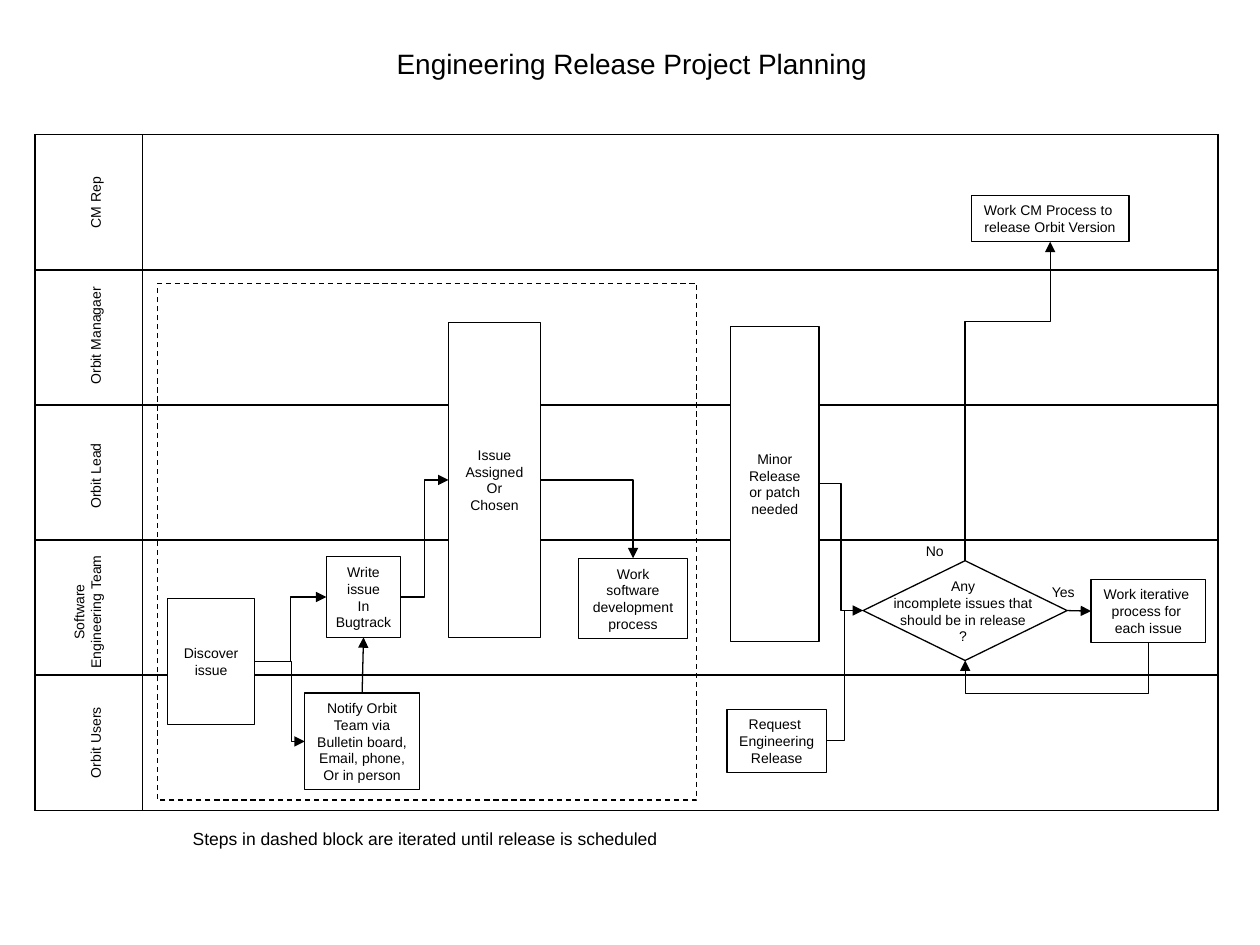
from lxml.etree import SubElement
from pptx import Presentation
from pptx.dml.color import RGBColor
from pptx.enum.dml import MSO_LINE
from pptx.enum.shapes import MSO_CONNECTOR, MSO_SHAPE
from pptx.enum.text import MSO_ANCHOR, PP_ALIGN
from pptx.oxml.ns import qn
from pptx.util import Pt

COLORS = {"ink": "000000", "paper": "FFFFFF"}
FONT = "Arial"
LINE_WIDTH = 0.75
TOP, LEFT, BOTTOM, RIGHT = range(4)

LANES = [
    (["CM Rep"], 0),
    (["Orbit Managaer"], -1),
    (["Orbit Lead"], 2),
    (["Software", "Engineering Team"], 2.5),
    (["Orbit Users"], 0),
]

STEPS = {
    "request": ((395.4, 328.4, 57, 36), ["Request ", "Engineering", "Release"], False),
    "minor": ((397.6, 109.5, 50.4, 180), ["Minor Release", "or patch needed"], True),
    "discover": ((75.8, 265, 49.7, 72), ["Discover", "issue"], False),
    "notify": ((154.2, 319, 65.5, 55.4),
               ["Notify Orbit", "Team via", "Bulletin board,", "Email, phone,", "Or in person"], False),
    "write": ((166.5, 241.2, 42.5, 46), ["Write", "issue", "In", "Bugtrack"], False),
    "assigned": ((236.3, 107.3, 52.6, 180), ["Issue", "Assigned", "Or", "Chosen"], True),
    "develop": ((310.5, 242, 62.6, 46), ["Work software", "development process"], True),
    "iterate": ((603.5, 254.2, 65.5, 36), ["Work iterative ", "process for ", "each issue"], False),
    "cm": ((535.1, 34.6, 90, 26.6), ["Work CM Process to ", "release Orbit Version"], False),
}


def rgb(name):
    """Return a named colour."""
    return RGBColor.from_string(COLORS[name])


def write_text(shape, lines, size=8, wrap=False, align=PP_ALIGN.CENTER):
    """Write one paragraph for each line into a shape."""
    frame = shape.text_frame
    frame.word_wrap = wrap
    frame.vertical_anchor = MSO_ANCHOR.MIDDLE
    for index, line in enumerate(lines):
        paragraph = frame.add_paragraph() if index else frame.paragraphs[0]
        paragraph.alignment = align
        run = paragraph.add_run()
        run.text = line
        run.font.size = Pt(size)
        run.font.name = FONT
        run.font.color.rgb = rgb("ink")


def add_label(slide, box, lines, **style):
    """Add a text box at a box in points."""
    label = slide.shapes.add_textbox(*map(Pt, box))
    write_text(label, lines, **style)
    return label


def add_outline(slide, box, kind=MSO_SHAPE.RECTANGLE, fill=None):
    """Add an outlined shape, filled only when a colour is named."""
    outline = slide.shapes.add_shape(kind, *map(Pt, box))
    outline.shadow.inherit = False
    if fill:
        outline.fill.solid()
        outline.fill.fore_color.rgb = rgb(fill)
    else:
        outline.fill.background()
    outline.line.color.rgb = rgb("ink")
    outline.line.width = Pt(LINE_WIDTH)
    return outline


def add_link(slide, kind, start, end, arrow=True):
    """Add a connector between two points, with an arrowhead if wanted."""
    link = slide.shapes.add_connector(kind, *map(int, (*start, *end)))
    link.line.color.rgb = rgb("ink")
    link.line.width = Pt(LINE_WIDTH)
    properties = link._element.spPr
    SubElement(properties, qn("a:effectLst"))
    if arrow:
        SubElement(properties.find(qn("a:ln")), qn("a:tailEnd"), type="triangle")
    return link


def side_point(shape, side):
    """Return the middle of one side of a shape."""
    across = {LEFT: 0, RIGHT: 1}.get(side, 0.5)
    down = {TOP: 0, BOTTOM: 1}.get(side, 0.5)
    return shape.left + shape.width * across, shape.top + shape.height * down


def link_straight(slide, source, source_side, target, target_side):
    """Join two shapes with a straight arrow."""
    link = add_link(slide, MSO_CONNECTOR.STRAIGHT,
                    side_point(source, source_side), side_point(target, target_side))
    link.begin_connect(source, source_side)
    link.end_connect(target, target_side)


def link_elbow(slide, source, source_side, target, target_side, bend=0.5, arrow=True):
    """Draw an elbow between two sides, with one corner if bend is None."""
    start, end = side_point(source, source_side), side_point(target, target_side)
    upright = source_side in (TOP, BOTTOM)
    if upright:
        middle_x, middle_y = (start[0] + end[0]) / 2, (start[1] + end[1]) / 2
        half_x, half_y = (end[0] - start[0]) / 2, (end[1] - start[1]) / 2
        start = middle_x - half_y, middle_y + half_x
        end = middle_x + half_y, middle_y - half_x
    link = add_link(slide, MSO_CONNECTOR.ELBOW, start, end, arrow)
    properties = link._element.spPr
    if upright:
        properties.find(qn("a:xfrm")).set("rot", "5400000")
    geometry = properties.find(qn("a:prstGeom"))
    if bend is None:
        geometry.set("prst", "bentConnector2")
    else:
        SubElement(geometry.find(qn("a:avLst")), qn("a:gd"),
                   name="adj1", fmla=f"val {round(bend * 100000)}")


def add_lanes(slide, box):
    """Draw the stacked lanes with their turned names."""
    left, top, width, height = box
    lane_height = height / len(LANES)
    add_outline(slide, box)
    for index, (lines, drift) in enumerate(LANES):
        lane_top = top + index * lane_height
        add_outline(slide, (left, lane_top, width, lane_height))
        thickness = 8 + 9.3 * len(lines)
        center_x = left + 43.2 - thickness / 2
        center_y = lane_top + lane_height / 2 + drift
        name = add_label(slide, (center_x - 40, center_y - thickness / 2, 80, thickness), lines)
        name.rotation = 270
    divider_x = Pt(left + 61.4)
    add_link(slide, MSO_CONNECTOR.STRAIGHT, (divider_x, Pt(top)),
             (divider_x, Pt(top + height)), arrow=False)


def add_flow(slide, box):
    """Place the steps, the decision and their links in the lanes."""
    left, top = box[:2]

    def within(part):
        """Shift a part into the box."""
        return (left + part[0], top + part[1], *part[2:])

    steps = {}
    for key, (part, lines, wrap) in STEPS.items():
        steps[key] = add_outline(slide, within(part), fill="paper")
        write_text(steps[key], lines, wrap=wrap)
    decision = add_outline(slide, within((473.2, 243.4, 116.6, 57)),
                           MSO_SHAPE.FLOWCHART_DECISION, "paper")
    add_label(slide, within((481.1, 249.2, 98.6, 46)),
              ["Any", "incomplete issues that should be in release", "?"], wrap=True)

    link_elbow(slide, steps["discover"], RIGHT, steps["notify"], LEFT, 0.73)
    link_elbow(slide, steps["discover"], RIGHT, steps["write"], LEFT)
    link_straight(slide, steps["notify"], TOP, steps["write"], BOTTOM)
    link_elbow(slide, steps["write"], RIGHT, steps["assigned"], LEFT)
    link_elbow(slide, steps["assigned"], RIGHT, steps["develop"], TOP, None)
    link_elbow(slide, steps["minor"], RIGHT, decision, LEFT)
    link_elbow(slide, steps["request"], RIGHT, decision, LEFT, arrow=False)
    link_straight(slide, decision, RIGHT, steps["iterate"], LEFT)
    link_elbow(slide, decision, TOP, steps["cm"], BOTTOM, 0.75)
    link_elbow(slide, steps["iterate"], BOTTOM, decision, BOTTOM, 2.85)

    iterated_block = add_outline(slide, within((70, 85, 308.2, 295.2)))
    iterated_block.line.dash_style = MSO_LINE.DASH
    add_label(slide, within((574, 252.8, 28, 17.3)), ["Yes"], align=PP_ALIGN.LEFT)
    add_label(slide, within((502, 229, 24.5, 17.3)), ["No"], align=PP_ALIGN.LEFT)


def main():
    """Build the planning slide."""
    deck = Presentation()
    deck.slide_width, deck.slide_height = Pt(720), Pt(540)
    slide = deck.slides.add_slide(deck.slide_layouts[6])
    add_label(slide, (219.6, 22.8, 283, 27), ["Engineering Release Project Planning"], size=16)
    add_label(slide, (103, 469.4, 279.4, 19.4),
              ["Steps in dashed block are iterated until release is scheduled"], size=10)
    chart_box = (20, 77, 676, 386)
    add_lanes(slide, chart_box)
    add_flow(slide, chart_box)
    deck.save("out.pptx")


if __name__ == "__main__":
    main()
